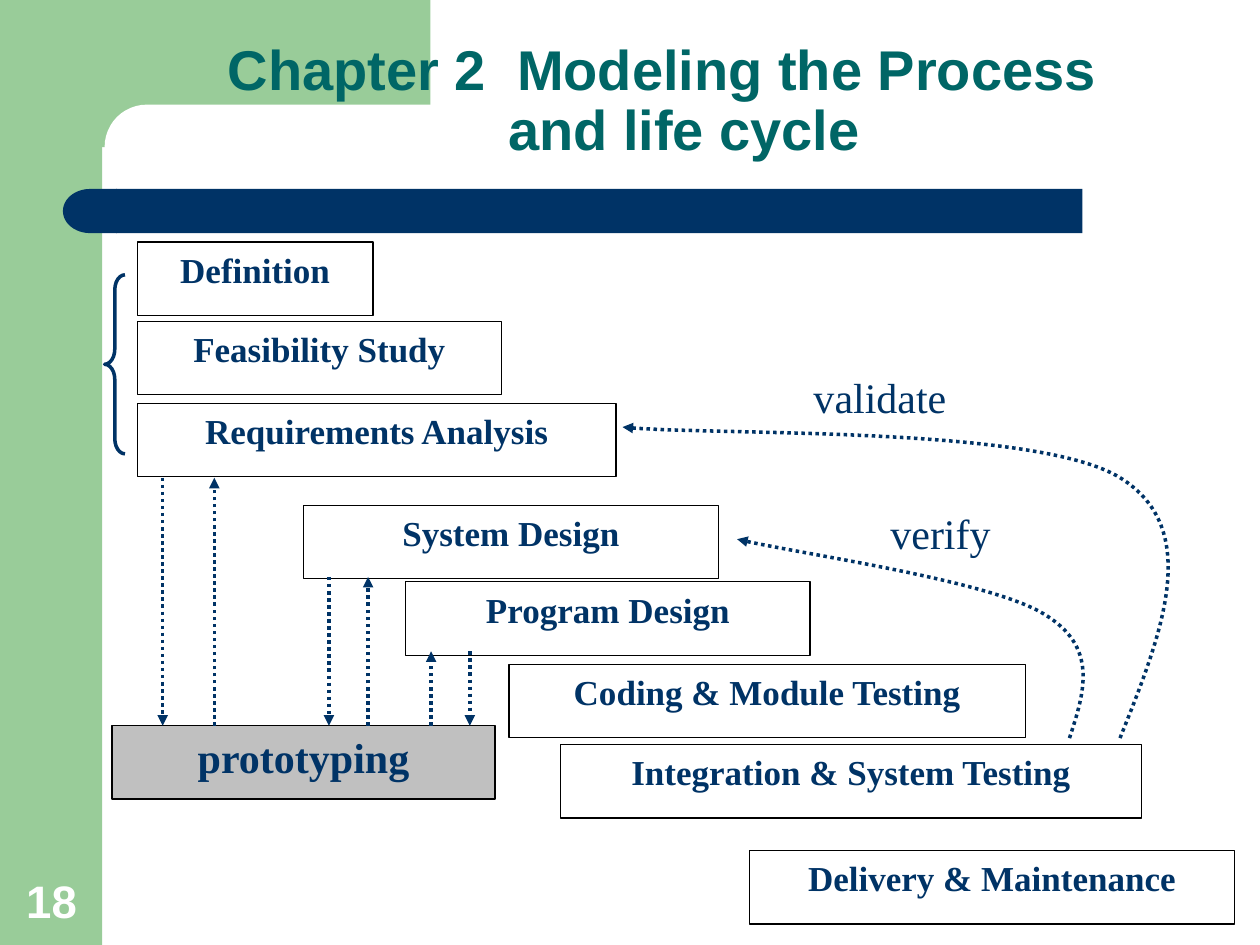
from lxml import etree
from pptx import Presentation
from pptx.dml.color import RGBColor
from pptx.enum.dml import MSO_LINE
from pptx.enum.shapes import MSO_CONNECTOR, MSO_SHAPE as Shape
from pptx.enum.text import MSO_ANCHOR as Anchor, MSO_AUTO_SIZE, PP_ALIGN as Align
from pptx.oxml.ns import qn
from pptx.util import Cm, Pt

WHITE = RGBColor(0xFF, 0xFF, 0xFF)
BLACK = RGBColor(0x00, 0x00, 0x00)
GREEN = RGBColor(0x99, 0xCC, 0x99)
GRAY = RGBColor(0xC0, 0xC0, 0xC0)
NAVY = RGBColor(0x00, 0x33, 0x66)
TEAL = RGBColor(0x00, 0x66, 0x66)
SANS, SERIF = "Arial", "Times New Roman"

BOX_HEIGHT = 1.48
PROTOTYPE_TOP = 14.63

# Phase boxes: text, left, top, width
PHASES = [
    ("Definition", 2.77, 4.88, 4.75),
    ("Feasibility Study", 2.77, 6.48, 7.34),
    ("Requirements Analysis", 2.77, 8.13, 9.65),
    ("System Design", 6.12, 10.19, 8.36),
    ("Program Design", 8.18, 11.73, 8.15),
    ("Coding & Module Testing", 10.26, 13.39, 10.41),
    ("Integration & System Testing", 11.3, 15.01, 11.71),
    ("Delivery & Maintenance", 15.11, 17.15, 9.78),
]
# Arrow pairs: x to the prototype, x back from it, y at the phase
PROTOTYPE_LOOPS = [(3.28, 4.32, 9.63), (6.63, 7.42, 11.63), (9.47, 8.69, 13.13)]
# Bezier points: start, then two controls and an end for each segment
VERIFY_CURVE = [(21.56, 14.88), (21.87, 13.94), (22.15, 13.03), (21.03, 12.37),
                (19.94, 11.71), (15.9, 11.13), (14.86, 10.87)]
VALIDATE_CURVE = [(22.58, 14.88), (23.42, 12.78), (24.26, 10.67), (22.58, 9.63),
                  (20.9, 8.59), (14.22, 8.79), (12.55, 8.61)]


class SlideBuilder:
    def __init__(self, slide):
        self.slide = slide
        self.shapes = slide.shapes

    def format_text(self, text_frame, text, size, color, font=SERIF, bold=True,
                    align=Align.LEFT, anchor=Anchor.TOP):
        text_frame.word_wrap = True
        text_frame.vertical_anchor = anchor
        text_frame.text = text
        paragraph = text_frame.paragraphs[0]
        paragraph.alignment = align
        for run in paragraph.runs:
            run.font.name, run.font.size = font, Pt(size)
            run.font.bold, run.font.color.rgb = bold, color
        return paragraph

    def title(self, text, left, top, width, height, first_indent, next_indent):
        title = self.shapes.title
        title.left, title.top = Cm(left), Cm(top)
        title.width, title.height = Cm(width), Cm(height)
        title.text_frame.auto_size = MSO_AUTO_SIZE.NONE
        paragraph = self.format_text(title.text_frame, text, 32, TEAL, SANS,
                                     anchor=Anchor.BOTTOM)
        paragraph.line_spacing = 0.9
        properties = paragraph._p.get_or_add_pPr()
        properties.set("marL", str(Cm(next_indent)))
        properties.set("indent", str(Cm(first_indent - next_indent)))

    def block(self, kind, left, top, width, height, fill=None, line=None, weight=0.75):
        shape = self.shapes.add_shape(kind, Cm(left), Cm(top), Cm(width), Cm(height))
        shape.shadow.inherit = False
        if fill is None:
            shape.fill.background()
        else:
            shape.fill.solid()
            shape.fill.fore_color.rgb = fill
        if line is None:
            shape.line.fill.background()
        else:
            shape.line.color.rgb = line
            shape.line.width = Pt(weight)
        return shape

    def box(self, text, left, top, width, fill=WHITE, size=20):
        shape = self.block(Shape.RECTANGLE, left, top, width, BOX_HEIGHT, fill, BLACK)
        self.format_text(shape.text_frame, text, size, NAVY, align=Align.CENTER)

    def label(self, text, left, top, width, height, size=24, color=NAVY, **style):
        text_box = self.shapes.add_textbox(Cm(left), Cm(top), Cm(width), Cm(height))
        self.format_text(text_box.text_frame, text, size, color, **style)

    def dotted_arrow(self, shape):
        shape.line.color.rgb = NAVY
        shape.line.width = Pt(2)
        shape.line.dash_style = MSO_LINE.ROUND_DOT
        properties = shape.element.spPr
        etree.SubElement(properties.find(qn("a:ln")), qn("a:tailEnd"), type="triangle")
        if properties.find(qn("a:effectLst")) is None:
            etree.SubElement(properties, qn("a:effectLst"))

    def straight_arrow(self, x, start, end):
        self.dotted_arrow(self.shapes.add_connector(
            MSO_CONNECTOR.STRAIGHT, Cm(x), Cm(start), Cm(x), Cm(end)))

    def curved_arrow(self, points):
        start, *others = [(Cm(x), Cm(y)) for x, y in points]
        builder = self.shapes.build_freeform(*start)
        builder.add_line_segments(others, close=False)
        shape = builder.convert_to_shape()
        # Turn every three line segments into one cubic curve
        path = next(shape.element.iter(qn("a:path")))
        segments = path.findall(qn("a:lnTo"))
        for first in range(0, len(segments), 3):
            curve = etree.SubElement(path, qn("a:cubicBezTo"))
            for segment in segments[first:first + 3]:
                curve.append(segment[0])
                path.remove(segment)
        shape.fill.background()
        shape.shadow.inherit = False
        self.dotted_arrow(shape)


def main():
    presentation = Presentation()
    presentation.slide_width, presentation.slide_height = Cm(25.4), Cm(19.05)
    builder = SlideBuilder(presentation.slides.add_slide(presentation.slide_layouts[5]))

    # Background bands and title bar
    builder.block(Shape.RECTANGLE, 0, 0, 2.06, 19.05, GREEN)
    builder.block(Shape.RECTANGLE, 1.85, 0, 6.83, 2.97, GREEN)
    corner = builder.block(Shape.ROUNDED_RECTANGLE, 2.11, 2.11, 14.17, 1.7, WHITE)
    corner.adjustments[0] = 0.5
    builder.block(Shape.RECTANGLE, 2.34, 3.81, 19.48, 0.89, NAVY)
    bar_end = builder.block(Shape.FLOWCHART_DELAY, 1.27, 3.81, 1.09, 0.89, NAVY)
    bar_end.element.spPr.find(qn("a:xfrm")).set("flipH", "1")

    # Slide number and title, brought in front of the bands
    builder.label("18", 0.28, 17.48, 1.63, 1.35, 26, WHITE, font=SANS,
                  anchor=Anchor.BOTTOM)
    builder.title("Chapter 2  Modeling the Process\vand life cycle",
                  2.54, 1.07, 22.23, 2.34, first_indent=1.8, next_indent=7.45)
    title_element = builder.shapes.title.element
    title_element.getparent().append(title_element)

    # Phases and prototype
    for phase in PHASES:
        builder.box(*phase)
    builder.box("prototyping", 2.26, PROTOTYPE_TOP, 7.72, GRAY, 24)

    # Arrows between phases and prototype
    for down_x, up_x, phase_y in PROTOTYPE_LOOPS:
        builder.straight_arrow(down_x, phase_y, PROTOTYPE_TOP)
        builder.straight_arrow(up_x, PROTOTYPE_TOP, phase_y)

    # Feedback curves with labels
    builder.curved_arrow(VERIFY_CURVE)
    builder.curved_arrow(VALIDATE_CURVE)
    builder.label("validate", 16.15, 7.37, 4.62, 1.27, bold=False)
    builder.label("verify", 17.7, 10.11, 3.61, 1.27, bold=False)

    # Brace around the first three phases
    brace = builder.block(Shape.LEFT_BRACE, 2.11, 5.54, 0.41, 3.61, line=NAVY, weight=2)
    brace.adjustments[0] = 0.75

    presentation.save("out.pptx")


if __name__ == "__main__":
    main()
